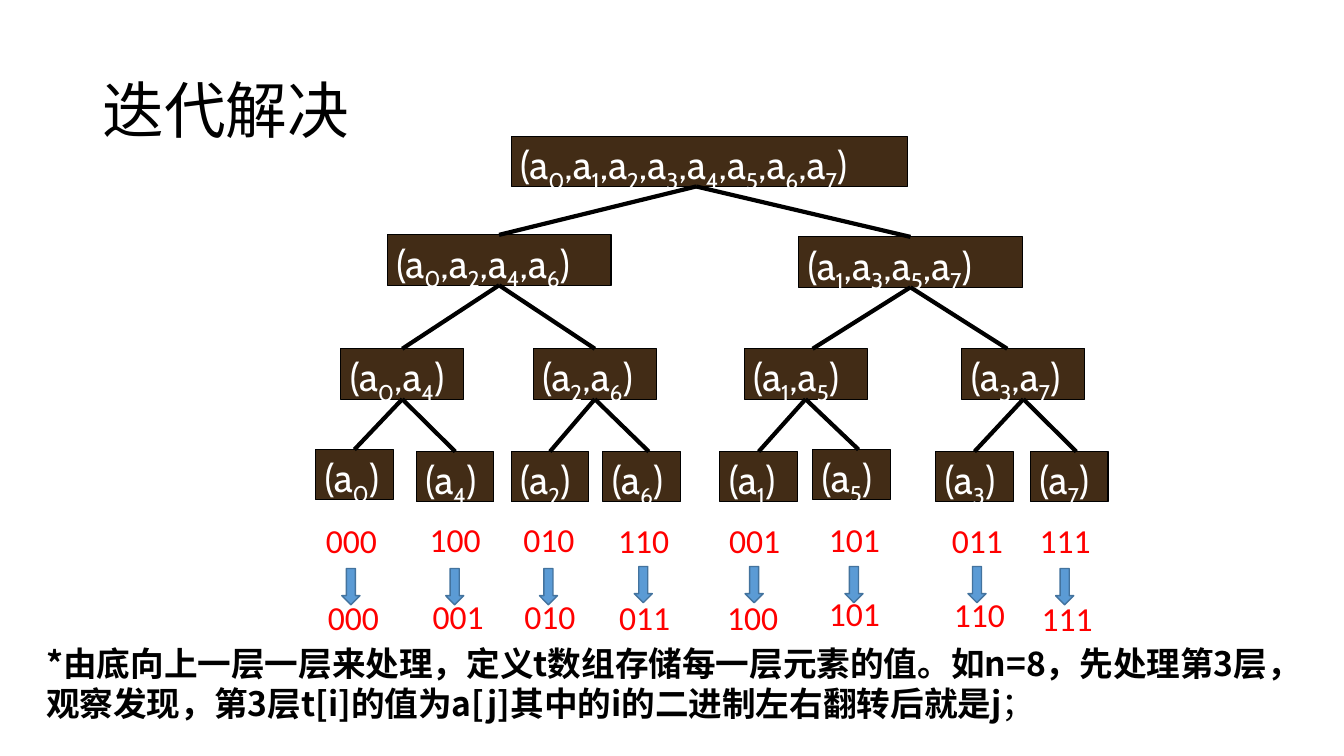
from dataclasses import dataclass

from lxml.etree import SubElement
from pptx import Presentation
from pptx.dml.color import RGBColor
from pptx.enum.shapes import MSO_CONNECTOR as Connector
from pptx.enum.shapes import MSO_SHAPE as Preset
from pptx.enum.text import MSO_ANCHOR as Anchor
from pptx.enum.text import PP_ALIGN as Align
from pptx.oxml.ns import qn
from pptx.shapes.autoshape import Shape
from pptx.slide import Slide
from pptx.text.text import _Run as Run
from pptx.util import Inches, Pt

CJK = "Noto Sans CJK SC"
BLACK, WHITE, RED = "000000", "FFFFFF", "FF0000"
BROWN, BLUE, DARK_BLUE = "422C16", "5B9BD5", "43739E"
TOP_SIDE, BOTTOM_SIDE = 0, 2
NODE_HEIGHT = 0.5
LEAF_COUNT = 8


@dataclass
class Node:
    left: float
    top: float
    width: float
    entry_shift: float = 0
    exit_shift: float = 0

    @property
    def centre(self) -> float:
        return self.left + self.width / 2


@dataclass
class CodeColumn:
    left: float
    top: float
    arrow_top: float
    reversed_left: float
    reversed_top: float


NODES = [
    Node(5.07, 1.35, 3.93, exit_shift=-0.13),
    Node(3.84, 2.33, 2.22),
    Node(7.92, 2.35, 2.22),
    Node(3.38, 3.46, 1.22),
    Node(5.29, 3.46, 1.22),
    Node(7.38, 3.46, 1.22, entry_shift=0.07),
    Node(9.54, 3.46, 1.22, entry_shift=-0.16),
    Node(3.13, 4.46, 0.77),
    Node(4.13, 4.48, 0.77),
    Node(5.07, 4.48, 0.77),
    Node(5.98, 4.48, 0.77, entry_shift=0.07),
    Node(7.14, 4.48, 0.77),
    Node(8.06, 4.46, 0.77, entry_shift=0.07),
    Node(9.28, 4.48, 0.77),
    Node(10.22, 4.48, 0.77, entry_shift=0.07),
]

CODE_COLUMNS = [
    CodeColumn(3.07, 5.11, 5.64, 3.09, 5.87),
    CodeColumn(4.10, 5.10, 5.64, 4.13, 5.86),
    CodeColumn(5.03, 5.10, 5.64, 5.04, 5.86),
    CodeColumn(5.97, 5.11, 5.62, 5.98, 5.87),
    CodeColumn(7.07, 5.11, 5.62, 7.05, 5.87),
    CodeColumn(8.06, 5.10, 5.62, 8.06, 5.83),
    CodeColumn(9.28, 5.11, 5.62, 9.30, 5.84),
    CodeColumn(10.15, 5.11, 5.64, 10.17, 5.88),
]


def colour(value: str) -> RGBColor:
    return RGBColor.from_string(value)


def parent_of(position: int) -> int:
    return (position - 1) // 2


def split_indices() -> list[list[int]]:
    groups = [list(range(LEAF_COUNT))]
    for position in range(1, len(NODES)):
        offset = (position - 1) % 2
        groups.append(groups[parent_of(position)][offset::2])
    return groups


def style_run(run: Run, size: float, font: str, shade: str, bold: bool = False) -> None:
    run.font.size = Pt(size)
    run.font.name = font
    run.font.bold = bold
    run.font.color.rgb = colour(shade)
    SubElement(run.font._element, qn("a:ea")).set("typeface", font)


def add_label(slide: Slide, text: str, left: float, top: float, width: float,
              height: float, size: float, font: str, shade: str) -> Shape:
    label = slide.shapes.add_textbox(Inches(left), Inches(top), Inches(width), Inches(height))
    label.text_frame.word_wrap = True
    label.text_frame.text = text
    style_run(label.text_frame.paragraphs[0].runs[0], size, font, shade)
    return label


def add_preset(slide: Slide, preset: Preset, left: float, top: float, width: float,
               height: float, fill: str, line: str, line_width: float) -> Shape:
    shape = slide.shapes.add_shape(preset, Inches(left), Inches(top), Inches(width), Inches(height))
    shape.shadow.inherit = False
    shape.fill.solid()
    shape.fill.fore_color.rgb = colour(fill)
    shape.line.color.rgb = colour(line)
    shape.line.width = Pt(line_width)
    return shape


def add_node(slide: Slide, node: Node, indices: list[int]) -> Shape:
    box = add_preset(slide, Preset.RECTANGLE, node.left, node.top, node.width,
                     NODE_HEIGHT, BROWN, BLACK, 0.75)
    frame = box.text_frame
    frame.word_wrap = False
    frame.vertical_anchor = Anchor.TOP
    frame.margin_left = Inches(0.09)
    frame.margin_top = Inches(0.04)
    frame.margin_right = frame.margin_bottom = 0
    paragraph = frame.paragraphs[0]
    paragraph.alignment = Align.LEFT
    pieces = [("(a" if place == 0 else ",a", str(index)) for place, index in enumerate(indices)]
    for base, subscript in pieces + [(")", "")]:
        for text, baseline in ((base, 0), (subscript, -25000)):
            if text:
                run = paragraph.add_run()
                run.text = text
                style_run(run, 28, "Cabin", WHITE)
                run.font._element.set("baseline", str(baseline))
    return box


def add_branch(slide: Slide, parent: Node, child: Node, parent_box: Shape, child_box: Shape) -> None:
    branch = slide.shapes.add_connector(
        Connector.STRAIGHT,
        Inches(parent.centre + parent.exit_shift), Inches(parent.top + NODE_HEIGHT),
        Inches(child.centre + child.entry_shift), Inches(child.top))
    if not parent.exit_shift:
        branch.begin_connect(parent_box, BOTTOM_SIDE)
    if not child.entry_shift:
        branch.end_connect(child_box, TOP_SIDE)
    branch.line.color.rgb = colour(BLACK)
    branch.line.width = Pt(3)
    SubElement(branch._element.spPr, qn("a:effectLst"))


def add_code_column(slide: Slide, column: CodeColumn, index: int) -> None:
    code = format(index, "03b")
    add_preset(slide, Preset.DOWN_ARROW, column.left + 0.32, column.arrow_top,
               0.18, 0.36, BLUE, DARK_BLUE, 1)
    for text, left, top in ((code, column.left, column.top),
                            (code[::-1], column.reversed_left, column.reversed_top)):
        label = add_label(slide, text, left, top, 0.83, 0.5, 24, "Calibri", RED)
        label.text_frame.paragraphs[0].alignment = Align.CENTER


def main() -> None:
    deck = Presentation()
    deck.slide_width, deck.slide_height = Inches(13.33), Inches(7.5)
    slide = deck.slides.add_slide(deck.slide_layouts[6])

    title = add_label(slide, "迭代解决", 0.92, 0.4, 11.5, 1.45, 44, CJK, BLACK)
    title.text_frame.vertical_anchor = Anchor.MIDDLE
    title.text_frame.paragraphs[0].line_spacing = 0.9

    explanation = add_label(
        slide,
        "*由底向上一层一层来处理，定义t数组存储每一层元素的值。如n=8，先处理第3层，"
        "观察发现，第3层t[i]的值为a[j]其中的i的二进制左右翻转后就是j",
        0.36, 6.33, 12.6, 0.91, 24, CJK, BLACK)
    sentence = explanation.text_frame.paragraphs[0]
    sentence.runs[0].font.bold = True
    ending = sentence.add_run()
    ending.text = "；"
    style_run(ending, 24, CJK, BLACK)

    groups = split_indices()
    boxes = [add_node(slide, node, indices) for node, indices in zip(NODES, groups)]
    for position in range(1, len(NODES)):
        parent = parent_of(position)
        add_branch(slide, NODES[parent], NODES[position], boxes[parent], boxes[position])
    for column, (index,) in zip(CODE_COLUMNS, groups[-LEAF_COUNT:]):
        add_code_column(slide, column, index)

    deck.save("out.pptx")


if __name__ == "__main__":
    main()
